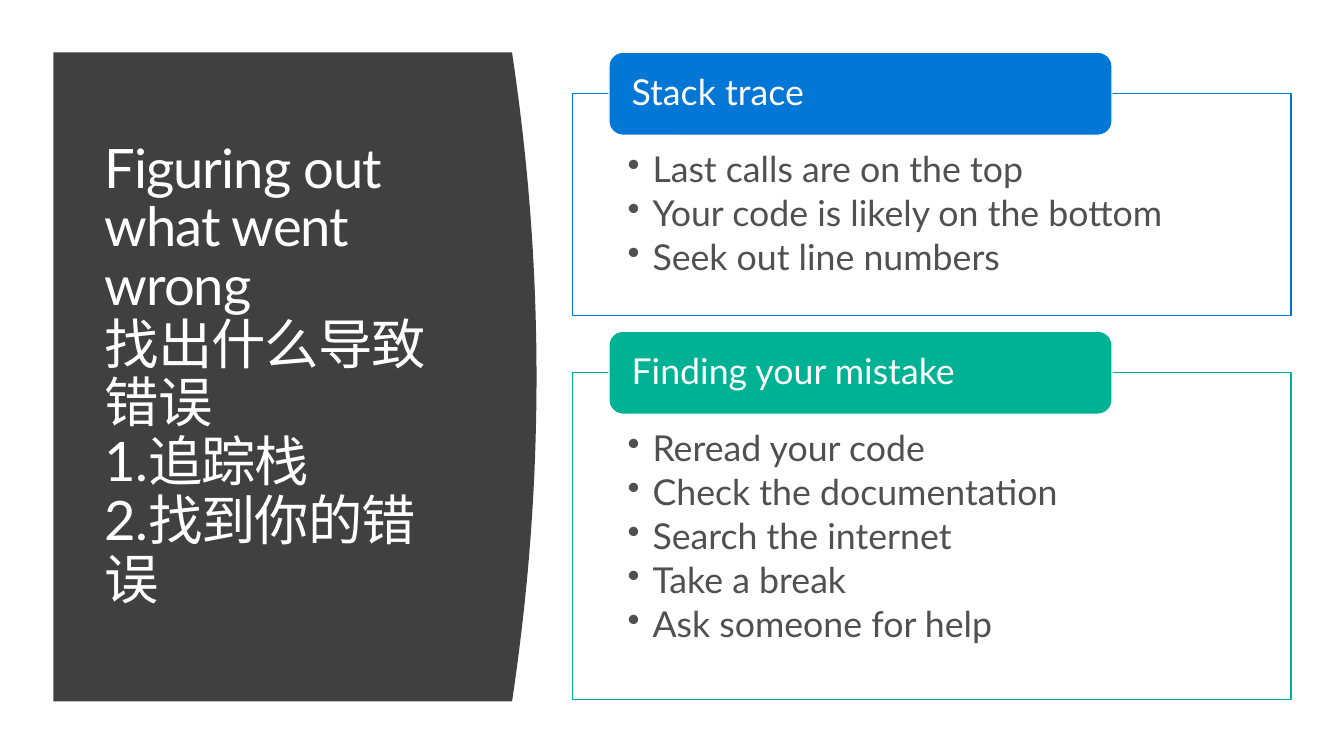
from lxml import etree
from pptx import Presentation, util as u
from pptx.dml.color import RGBColor
from pptx.enum import shapes, text
from pptx.oxml.ns import qn

COLORS = {
    "panel": "404040",
    "white": "FFFFFF",
    "body": "505050",
    "blue": "0377D6",
    "green": "00B294",
}
TITLE = "Figuring out what went wrong\n找出什么导致错误\n1.追踪栈\n2.找到你的错误"
SECTIONS = [
    ("Stack trace", "blue", 2.41, 5.69, [
        "Last calls are on the top",
        "Your code is likely on the bottom",
        "Seek out line numbers",
    ]),
    ("Finding your mistake", "green", 9.58, 8.41, [
        "Reread your code",
        "Check the documentation",
        "Search the internet",
        "Take a break",
        "Ask someone for help",
    ]),
]


class SlideBuilder:
    font = "Lato"
    title_size = 39.6
    body_size = 26
    line_width = 0.85
    line_spacing = 0.9

    def __init__(self, slide):
        self.slide = slide

    def color(self, name):
        return RGBColor.from_string(COLORS[name])

    def paint(self, shape, fill, line=None):
        shape.shadow.inherit = False
        shape.fill.solid()
        shape.fill.fore_color.rgb = self.color(fill)
        if line:
            shape.line.color.rgb = self.color(line)
            shape.line.width = u.Pt(self.line_width)
        else:
            shape.line.fill.background()

    def set_frame(self, shape, anchor, insets):
        """Set wrapping, anchor and left, top, right, bottom insets in cm."""
        frame = shape.text_frame
        frame.word_wrap = True
        frame.vertical_anchor = anchor
        (frame.margin_left, frame.margin_top,
         frame.margin_right, frame.margin_bottom) = map(u.Cm, insets)
        return frame

    def set_text(self, paragraph, content, size, color):
        paragraph.text = content
        paragraph.alignment = text.PP_ALIGN.LEFT
        paragraph.line_spacing = self.line_spacing
        for run in paragraph.runs:
            run.font.name = self.font
            run.font.size = u.Pt(size)
            run.font.color.rgb = self.color(color)

    def add_curved_panel(self, left, top, right, bottom, bulge, steps=40):
        """Draw a panel whose right edge is a parabola reaching out by bulge."""
        builder = self.slide.shapes.build_freeform(u.Cm(left), u.Cm(top))
        edge = []
        for step in range(steps + 1):
            share = step / steps
            x = right + bulge * (1 - (2 * share - 1) ** 2)
            edge.append((u.Cm(x), u.Cm(top + (bottom - top) * share)))
        builder.add_line_segments(edge + [(u.Cm(left), u.Cm(bottom))])
        self.paint(builder.convert_to_shape(), "panel")

    def add_title(self, content, *box):
        shape = self.slide.shapes.add_textbox(*map(u.Cm, box))
        frame = self.set_frame(shape, text.MSO_ANCHOR.MIDDLE,
                               (0.25, 0.13, 0.25, 0.13))
        paragraph = frame.paragraphs[0]
        self.set_text(paragraph, content, self.title_size, "white")
        for run in paragraph.runs:
            run.font._element.set("spc", "-70")

    def add_bullet_box(self, items, color, *box):
        shape = self.slide.shapes.add_shape(
            shapes.MSO_SHAPE.RECTANGLE, *map(u.Cm, box))
        self.paint(shape, "white", color)
        fill = shape._element.spPr.find(qn("a:solidFill"))
        etree.SubElement(fill[0], qn("a:alpha"), val="90000")
        frame = self.set_frame(shape, text.MSO_ANCHOR.TOP,
                               (1.42, 1.5, 1.42, 0.51))
        for index, item in enumerate(items):
            paragraph = frame.add_paragraph() if index else frame.paragraphs[0]
            self.set_text(paragraph, item, self.body_size, "body")
            paragraph.space_after = u.Pt(0.15 * self.body_size)
            self.add_bullet(paragraph)

    def add_bullet(self, paragraph):
        properties = paragraph._p.get_or_add_pPr()
        indent = u.Cm(0.64)
        properties.set("marL", str(indent))
        properties.set("indent", str(-indent))
        etree.SubElement(properties, qn("a:buChar"), char="•")

    def add_label(self, content, color, *box):
        shape = self.slide.shapes.add_shape(
            shapes.MSO_SHAPE.ROUNDED_RECTANGLE, *map(u.Cm, box))
        self.paint(shape, color, "white")
        frame = self.set_frame(shape, text.MSO_ANCHOR.MIDDLE,
                               (0.48, 0, 0.48, 0))
        self.set_text(frame.paragraphs[0], content, self.body_size, "white")


def main():
    presentation = Presentation()
    presentation.slide_width = u.Cm(34.54)
    presentation.slide_height = u.Cm(19.43)
    slide = presentation.slides.add_slide(presentation.slide_layouts[6])
    builder = SlideBuilder(slide)

    builder.add_curved_panel(1.37, 1.35, 13.16, 18.03, bulge=0.63)
    builder.add_title(TITLE, 2.44, 2.87, 9.68, 13.59)

    label_height = 2.13
    for heading, color, top, height, items in SECTIONS:
        builder.add_bullet_box(items, color, 14.71, top, 18.47, height)
        builder.add_label(heading, color, 15.65, top - label_height / 2,
                          12.93, label_height)

    presentation.save("out.pptx")


if __name__ == "__main__":
    main()
